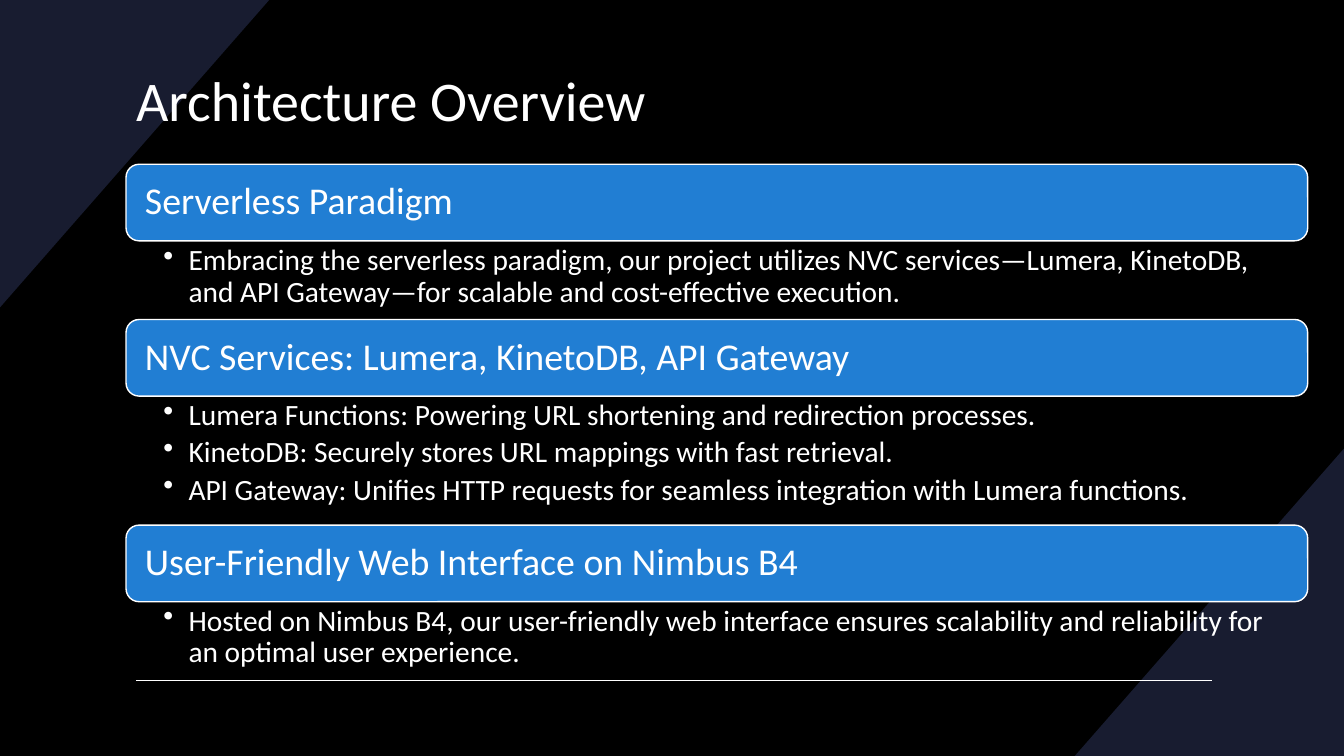
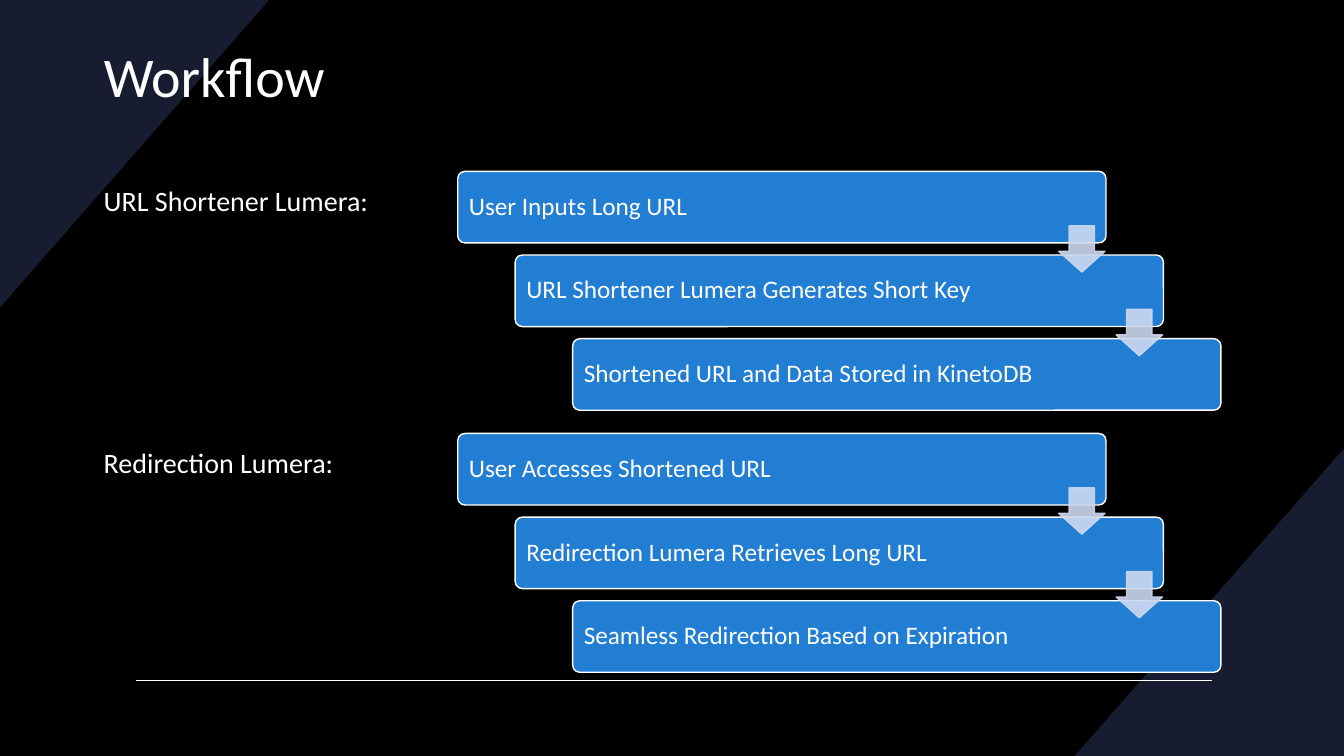
"""Build a two-slide deck on the architecture and workflow of a URL shortener."""
import dataclasses

import lxml.etree
import pptx
import pptx.dml.color
import pptx.enum.shapes
import pptx.enum.text
import pptx.oxml.ns
import pptx.util

Inches = pptx.util.Inches
Pt = pptx.util.Pt
qn = pptx.oxml.ns.qn
SHAPE = pptx.enum.shapes.MSO_SHAPE
ANCHOR = pptx.enum.text.MSO_ANCHOR


@dataclasses.dataclass(frozen=True)
class Theme:
    font: str = "Calibri"
    back: str = "000000"
    corner: str = "181C30"
    panel: str = "217ED3"
    arrow: str = "CDD8EF"
    ink: str = "FFFFFF"
    title: int = 40
    header: int = 27
    bullet: int = 21
    label: int = 20
    step: int = 18


THEME = Theme()
WIDTH, HEIGHT = 13.33, 7.5

TOPICS = [
    ("Serverless Paradigm", 0.78, [
        "Embracing the serverless paradigm, our project utilizes NVC services—Lumera, "
        "KinetoDB, and API Gateway—for scalable and cost-effective execution."]),
    ("NVC Services: Lumera, KinetoDB, API Gateway", 1.28, [
        "Lumera Functions: Powering URL shortening and redirection processes.",
        "KinetoDB: Securely stores URL mappings with fast retrieval.",
        "API Gateway: Unifies HTTP requests for seamless integration with Lumera functions."]),
    ("User-Friendly Web Interface on Nimbus B4", 0.78, [
        "Hosted on Nimbus B4, our user-friendly web interface ensures scalability and "
        "reliability for an optimal user experience."]),
]

FLOWS = [
    ("URL Shortener Lumera:", 1.7, [
        "User Inputs Long URL",
        "URL Shortener Lumera Generates Short Key",
        "Shortened URL and Data Stored in KinetoDB"]),
    ("Redirection Lumera:", 4.3, [
        "User Accesses Shortened URL",
        "Redirection Lumera Retrieves Long URL",
        "Seamless Redirection Based on Expiration"]),
]


def rgb(value):
    return pptx.dml.color.RGBColor.from_string(value)


def write(tf, *lines, size, insets=(0.1, 0.05, 0.1, 0.05), anchor=ANCHOR.TOP,
          spacing=None, before=0, after=0, bullet=False):
    """Fill a text frame with one paragraph per line in the shared style."""
    tf.word_wrap = True
    tf.auto_size = pptx.enum.text.MSO_AUTO_SIZE.NONE
    tf.vertical_anchor = anchor
    tf.margin_left, tf.margin_top, tf.margin_right, tf.margin_bottom = map(Inches, insets)
    for i, line in enumerate(lines):
        p = tf.paragraphs[0] if i == 0 else tf.add_paragraph()
        p.alignment = pptx.enum.text.PP_ALIGN.LEFT
        p.line_spacing = spacing
        p.space_before, p.space_after = Pt(before), Pt(after)
        if bullet:
            pPr = p._p.get_or_add_pPr()
            pPr.set("marL", str(Inches(0.25)))
            pPr.set("indent", str(Inches(-0.25)))
            lxml.etree.SubElement(pPr, qn("a:buChar")).set("char", "•")
        r = p.add_run()
        r.text = line
        r.font.name, r.font.size = THEME.font, Pt(size)
        r.font.color.rgb = rgb(THEME.ink)


class Deck:
    """Hold the presentation, its style and the current slide."""

    def __init__(self):
        self.prs = pptx.Presentation()
        self.prs.slide_width, self.prs.slide_height = Inches(WIDTH), Inches(HEIGHT)
        fill = self.prs.slide_master.background.fill
        fill.solid()
        fill.fore_color.rgb = rgb(THEME.back)
        self.s = None

    def slide(self, title, x, y):
        self.s = self.prs.slides.add_slide(self.prs.slide_layouts[5])
        self.corner((WIDTH, HEIGHT - 3.05), (WIDTH, HEIGHT), (WIDTH - 2.67, HEIGHT))
        self.corner((0, 3.05), (0, 0), (2.67, 0))
        self.rule(1.35, 12.02, 6.75)
        sp = self.s.shapes.title
        sp.left, sp.top, sp.width, sp.height = map(Inches, (x, y, 10.83, 1.49))
        write(sp.text_frame, title, size=THEME.title, anchor=ANCHOR.MIDDLE)
        self.s.shapes._spTree.append(sp._element)

    def paint(self, sp, fill, line=None):
        sp.shadow.inherit = False
        sp.fill.solid()
        sp.fill.fore_color.rgb = rgb(fill)
        if line:
            sp.line.color.rgb = rgb(line)
            sp.line.width = Pt(1)
        else:
            sp.line.fill.background()

    def corner(self, *points):
        points = [(Inches(x), Inches(y)) for x, y in points]
        builder = self.s.shapes.build_freeform(*points[0])
        builder.add_line_segments(points[1:], close=True)
        self.paint(builder.convert_to_shape(), THEME.corner)

    def rule(self, x1, x2, y):
        line = self.s.shapes.add_connector(
            pptx.enum.shapes.MSO_CONNECTOR.STRAIGHT, *map(Inches, (x1, y, x2, y)))
        line.line.color.rgb = rgb(THEME.ink)
        line.line.width = Pt(1)
        lxml.etree.SubElement(line._element.spPr, qn("a:effectLst"))

    def panel(self, text, x, y, w, h, size, inset, radius):
        sp = self.s.shapes.add_shape(SHAPE.ROUNDED_RECTANGLE, *map(Inches, (x, y, w, h)))
        sp.adjustments[0] = radius
        self.paint(sp, THEME.panel, THEME.ink)
        write(sp.text_frame, text, size=size, insets=(inset,) * 4,
              anchor=ANCHOR.MIDDLE, spacing=0.9)

    def text(self, x, y, w, h, *lines, **style):
        sp = self.s.shapes.add_textbox(*map(Inches, (x, y, w, h)))
        write(sp.text_frame, *lines, **style)

    def arrow(self, x, y):
        sp = self.s.shapes.add_shape(SHAPE.DOWN_ARROW, *map(Inches, (x, y, 0.46, 0.46)))
        sp.adjustments[0], sp.adjustments[1] = 0.55, 0.45
        self.paint(sp, THEME.arrow, THEME.arrow)
        for color in sp._element.spPr.iter(qn("a:srgbClr")):
            lxml.etree.SubElement(color, qn("a:alpha")).set("val", "90000")


def architecture(deck):
    deck.slide("Architecture Overview", 1.25, 0.24)
    x, y, w, header_h = 1.25, 1.63, 11.72, 0.76
    for header, body_h, bullets in TOPICS:
        deck.panel(header, x, y, w, header_h, THEME.header, 0.15, 0.17)
        y += header_h
        deck.text(x, y, w, body_h, *bullets, size=THEME.bullet, spacing=0.9, after=4,
                  insets=(0.37, 0.04, 0.21, 0.04), bullet=True)
        y += body_h


def workflow(deck):
    deck.slide("Workflow", 0.93, 0)
    for label, top, steps in FLOWS:
        deck.text(0.93, top, 5.25, 0.78, label, size=THEME.label, spacing=1.2, before=10)
        places = [(4.54 + 0.57 * i, top + 0.83 * i) for i in range(len(steps))]
        for step, (x, y) in zip(steps, places):
            deck.panel(step, x, y, 6.43, 0.71, THEME.step, 0.09, 0.1)
        for x, y in places[:-1]:
            deck.arrow(x + 5.96, y + 0.54)


def main():
    deck = Deck()
    architecture(deck)
    workflow(deck)
    deck.prs.save("out.pptx")


if __name__ == "__main__":
    main()
